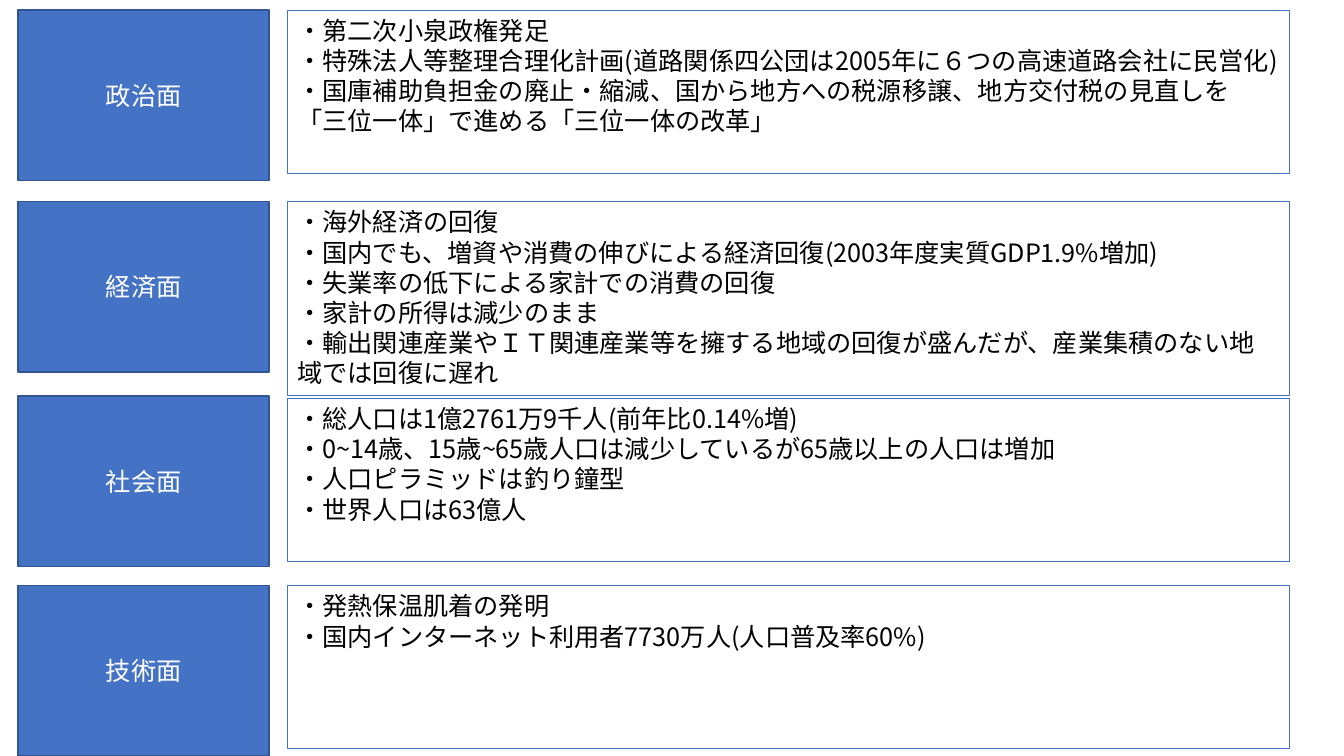
from dataclasses import dataclass

import pptx
import pptx.dml.color
import pptx.enum.shapes
import pptx.enum.text
import pptx.oxml.ns
import pptx.shapes.autoshape
import pptx.shapes.shapetree
import pptx.util
from lxml import etree

Inches = pptx.util.Inches
Pt = pptx.util.Pt
Align = pptx.enum.text.PP_ALIGN
Anchor = pptx.enum.text.MSO_ANCHOR
FONT = "Noto Sans CJK JP"
COLORS = {"blue": "4472C4", "edge": "325491", "black": "000000", "white": "FFFFFF"}


@dataclass
class Style:
    left: float
    width: float
    fill: str | None
    edge: str
    weight: float
    ink: str
    frame: dict
    para: dict


@dataclass
class Row:
    label: str
    top: float
    notes: list[str]
    drop: float = 0
    height: float = 1.62


LABEL = Style(0.18, 2.49, "blue", "edge", 1, "white",
              {"vertical_anchor": Anchor.MIDDLE}, {"alignment": Align.CENTER})
NOTES = Style(2.85, 9.94, None, "blue", 0.75, "black",
              {"vertical_anchor": Anchor.TOP},
              {"alignment": Align.LEFT, "line_spacing": Pt(21.6)})
HEIGHT = 1.69

ROWS = [
    Row("政治面", 0.1, [
        "・第二次小泉政権発足",
        "・特殊法人等整理合理化計画(道路関係四公団は2005年に６つの高速道路会社に民営化)",
        "・国庫補助負担金の廃止・縮減、国から地方への税源移譲、地方交付税の見直しを"
        "「三位一体」で進める「三位一体の改革」",
    ]),
    Row("経済面", 2, [
        "・海外経済の回復",
        "・国内でも、増資や消費の伸びによる経済回復(2003年度実質GDP1.9%増加)",
        "・失業率の低下による家計での消費の回復",
        "・家計の所得は減少のまま",
        "・輸出関連産業やＩＴ関連産業等を擁する地域の回復が盛んだが、"
        "産業集積のない地域では回復に遅れ",
    ], height=1.92),
    Row("社会面", 3.93, [
        "・総人口は1億2761万9千人(前年比0.14%増)",
        "・0~14歳、15歳~65歳人口は減少しているが65歳以上の人口は増加",
        "・人口ピラミッドは釣り鐘型",
        "・世界人口は63億人",
    ], drop=0.02),
    Row("技術面", 5.81, [
        "・発熱保温肌着の発明",
        "・国内インターネット利用者7730万人(人口普及率60%)",
    ]),
]


def color(name: str) -> pptx.dml.color.RGBColor:
    return pptx.dml.color.RGBColor.from_string(COLORS[name])


def apply(target: object, values: dict) -> None:
    for name, value in values.items():
        setattr(target, name, value)


def write(box: pptx.shapes.autoshape.Shape, lines: list[str], style: Style) -> None:
    frame = box.text_frame
    apply(frame, {"word_wrap": True, **style.frame})
    for i, line in enumerate(lines):
        para = frame.add_paragraph() if i else frame.paragraphs[0]
        apply(para, style.para)
        run = para.add_run()
        run.text = line
        apply(run.font, {"size": Pt(18), "name": FONT})
        run.font.color.rgb = color(style.ink)
        # East Asian typeface
        props = run.font._element
        etree.SubElement(props, pptx.oxml.ns.qn("a:ea"), typeface=FONT)


def draw(shapes: pptx.shapes.shapetree.GroupShapes, style: Style,
         top: float, height: float, lines: list[str]) -> None:
    box = shapes.add_shape(
        pptx.enum.shapes.MSO_SHAPE.RECTANGLE, Inches(style.left), Inches(top),
        Inches(style.width), Inches(height))
    box.shadow.inherit = False
    if style.fill:
        box.fill.solid()
        box.fill.fore_color.rgb = color(style.fill)
    else:
        box.fill.background()
    box.line.color.rgb = color(style.edge)
    box.line.width = Pt(style.weight)
    write(box, lines, style)


def main() -> None:
    deck = pptx.Presentation()
    apply(deck, {"slide_width": Inches(13.33), "slide_height": Inches(7.5)})
    slide = deck.slides.add_slide(deck.slide_layouts[6])

    # One group per aspect: notes on the right, label on the left
    for row in ROWS:
        group = slide.shapes.add_group_shape()
        draw(group.shapes, NOTES, row.top + row.drop, row.height, row.notes)
        draw(group.shapes, LABEL, row.top, HEIGHT, [row.label])

    deck.save("out.pptx")


if __name__ == "__main__":
    main()
